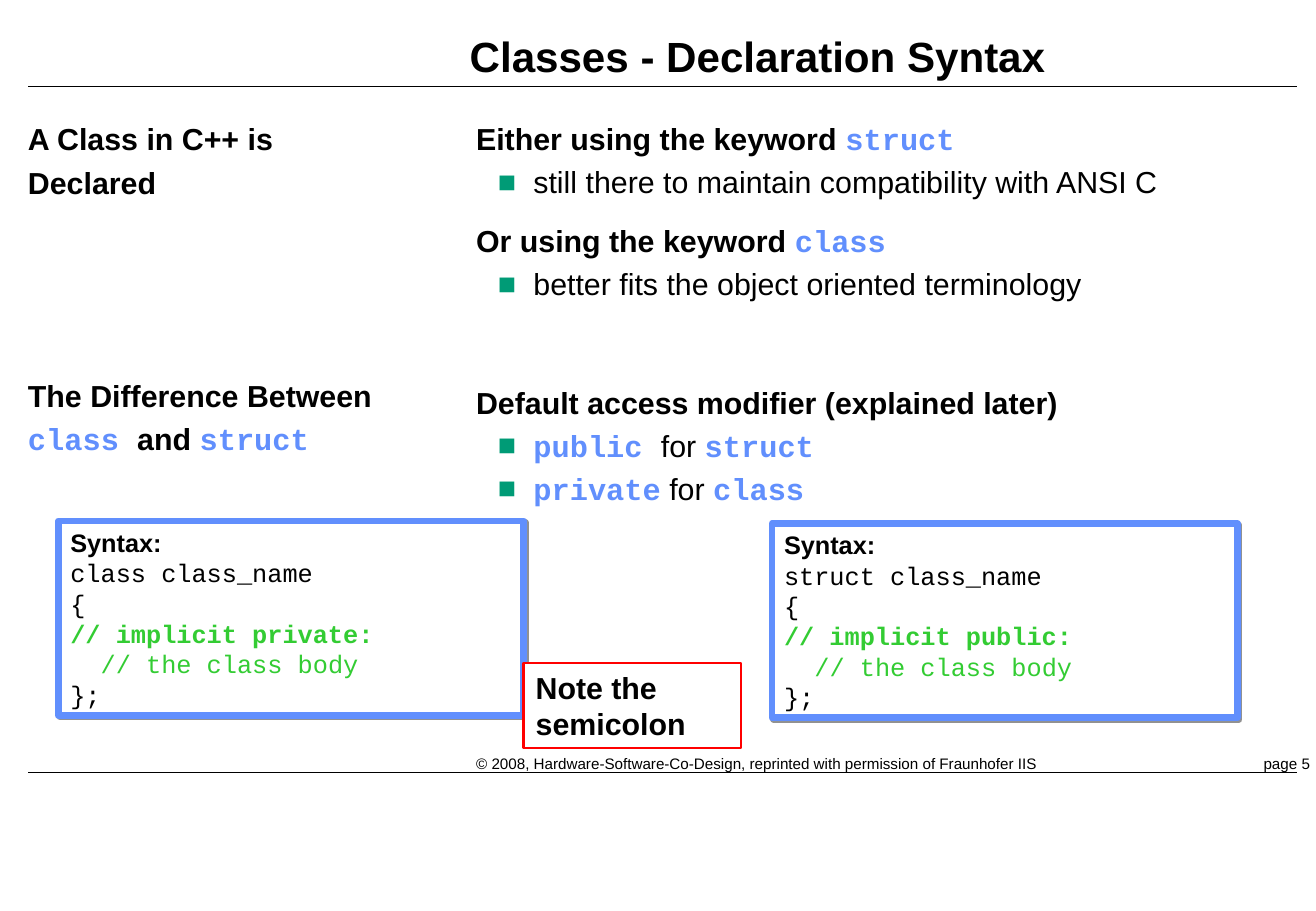
from lxml.etree import SubElement
from pptx import Presentation
from pptx.dml.color import RGBColor
from pptx.enum.shapes import MSO_CONNECTOR, MSO_SHAPE
from pptx.enum.text import MSO_ANCHOR, PP_ALIGN
from pptx.oxml.ns import qn
from pptx.util import Pt

BLACK = RGBColor(0x00, 0x00, 0x00)
WHITE = RGBColor(0xFF, 0xFF, 0xFF)
KEYWORD_BLUE = RGBColor(0x61, 0x8F, 0xFD)
BULLET_GREEN = RGBColor(0x00, 0x9B, 0x76)
COMMENT_GREEN = RGBColor(0x33, 0xCC, 0x33)
NOTE_RED = RGBColor(0xFF, 0x00, 0x00)
SHADOW_GREY = RGBColor(0x91, 0x91, 0x91)

SANS, MONO = "Arial", "Courier New"
TITLE = dict(name=SANS, size=Pt(25), bold=True, color=BLACK)
HEAD = dict(name=SANS, size=Pt(18), bold=True, color=BLACK)
BODY = HEAD | dict(bold=False)
KEYWORD = HEAD | dict(name=MONO, color=KEYWORD_BLUE)
FOOTER = dict(name=SANS, size=Pt(9), bold=False, color=BLACK)
CODE_HEAD = HEAD | dict(size=Pt(15))
CODE = CODE_HEAD | dict(name=MONO, bold=False)
COMMENT = CODE | dict(color=COMMENT_GREEN)
COMMENT_BOLD = COMMENT | dict(bold=True)

TITLE_LINE = dict(line_spacing=Pt(32.9))
HEAD_LINE = dict(line_spacing=Pt(26))
NEXT_HEAD = HEAD_LINE | dict(space_before=Pt(9))
LAST_HEAD = HEAD_LINE | dict(space_before=Pt(44))
BULLET_LINE = dict(line_spacing=Pt(25.5), level=1)
RIGHT = dict(alignment=PP_ALIGN.RIGHT)
LEFT = dict(alignment=PP_ALIGN.LEFT)

NO_MARGINS = dict(margin_left=0, margin_top=0, margin_right=0, margin_bottom=0)
WRAPPED = NO_MARGINS | dict(word_wrap=True)
ONE_LINE = NO_MARGINS | dict(word_wrap=False, vertical_anchor=MSO_ANCHOR.BOTTOM)
FRAMED = dict(margin_left=Pt(7.2), margin_top=Pt(3.6), margin_right=Pt(7.2),
              margin_bottom=Pt(3.6), word_wrap=True, vertical_anchor=MSO_ANCHOR.TOP)


def apply_format(target, values):
    for attribute, value in values.items():
        if attribute == "color":
            target.color.rgb = value
        else:
            setattr(target, attribute, value)


def set_indent(paragraph, left, first):
    properties = paragraph._p.get_or_add_pPr()
    properties.set("marL", str(Pt(left)))
    properties.set("indent", str(Pt(first)))
    return properties


def add_bullet(paragraph):
    properties = set_indent(paragraph, 34, -21)
    color = SubElement(properties, qn("a:buClr"))
    SubElement(color, qn("a:srgbClr"), val=str(BULLET_GREEN))
    SubElement(properties, qn("a:buFont"), typeface=SANS)
    SubElement(properties, qn("a:buChar"), char="■")


def write_paragraphs(frame, frame_format, paragraphs, hanging=False):
    apply_format(frame, frame_format)
    for index, (line_format, runs) in enumerate(paragraphs):
        paragraph = frame.add_paragraph() if index else frame.paragraphs[0]
        if line_format is BULLET_LINE:
            add_bullet(paragraph)
        elif hanging:
            set_indent(paragraph, 18, -18)
        apply_format(paragraph, line_format)
        for words, font_format in runs:
            run = paragraph.add_run()
            run.text = words
            apply_format(run.font, font_format)


def add_text(slide, place, frame_format, paragraphs):
    box = slide.shapes.add_textbox(*map(Pt, place))
    write_paragraphs(box.text_frame, frame_format, paragraphs)


def add_frame(slide, place, line_color, line_width, paragraphs, hanging=False):
    frame = slide.shapes.add_shape(MSO_SHAPE.RECTANGLE, *map(Pt, place))
    frame.shadow.inherit = False
    frame.fill.solid()
    frame.fill.fore_color.rgb = WHITE
    frame.line.color.rgb = line_color
    frame.line.width = Pt(line_width)
    write_paragraphs(frame.text_frame, FRAMED, paragraphs, hanging)
    return frame


def add_syntax(slide, place, keyword, access):
    lines = [
        ("Syntax:", CODE_HEAD),
        (f"{keyword} class_name", CODE),
        ("{", CODE),
        (f"// implicit {access}:", COMMENT_BOLD),
        ("\t// the class body", COMMENT),
        ("};", CODE),
    ]
    syntax = add_frame(slide, place, KEYWORD_BLUE, 4,
                       [(LEFT, [line]) for line in lines], hanging=True)
    effects = syntax._element.spPr.find(qn("a:effectLst"))
    shadow = SubElement(effects, qn("a:outerShdw"), blurRad="0", dist=str(Pt(1.4)),
                        dir="2700000", algn="ctr", rotWithShape="0")
    SubElement(shadow, qn("a:srgbClr"), val=str(SHADOW_GREY))


def add_rule(slide, y):
    rule = slide.shapes.add_connector(
        MSO_CONNECTOR.STRAIGHT, Pt(769), Pt(y), Pt(16.6), Pt(y))
    rule.line.color.rgb = BLACK
    rule.line.width = Pt(1)
    SubElement(rule._element.spPr, qn("a:effectLst"))


def main():
    presentation = Presentation()
    presentation.slide_width = Pt(780.48)
    presentation.slide_height = Pt(540)
    slide = presentation.slides.add_slide(presentation.slide_layouts[6])

    for y in (51.3, 458):
        add_rule(slide, y)
    add_text(slide, (713.5, 447.1, 63.4, 10.8), ONE_LINE,
             [(RIGHT, [("page 5", FOOTER)])])
    add_text(slide, (282.4, 447.1, 332.6, 10.8), ONE_LINE,
             [(LEFT, [("© 2008, Hardware-Software-Co-Design, reprinted with "
                       "permission of Fraunhofer IIS", FOOTER)])])

    add_text(slide, (278.6, 15.1, 490.3, 36), WRAPPED,
             [(TITLE_LINE, [("Classes - Declaration Syntax", TITLE)])])
    add_text(slide, (16.6, 67, 220.3, 51.8), WRAPPED,
             [(HEAD_LINE, [("A Class in C++ is Declared", HEAD)])])
    add_text(slide, (282.4, 67, 486.7, 375.1), WRAPPED, [
        (HEAD_LINE, [("Either using the keyword ", HEAD), ("struct", KEYWORD)]),
        (BULLET_LINE, [("still there to maintain compatibility with ANSI C", BODY)]),
        (NEXT_HEAD, [("Or using the keyword ", HEAD), ("class", KEYWORD)]),
        (BULLET_LINE, [("better fits the object oriented terminology", BODY)]),
        (LAST_HEAD, [("Default access modifier (explained later)", HEAD)]),
        (BULLET_LINE, [("public ", KEYWORD), ("for ", BODY), ("struct", KEYWORD)]),
        (BULLET_LINE, [("private", KEYWORD), (" for ", BODY), ("class", KEYWORD)]),
    ])

    add_syntax(slide, (34.6, 308.9, 276, 115.2), "class", "private")
    add_syntax(slide, (457.9, 310.3, 276, 115.2), "struct", "public")
    add_frame(slide, (310.6, 393.1, 128.9, 50.4), NOTE_RED, 1.5,
              [(LEFT, [("Note the semicolon", HEAD)])])
    add_text(slide, (16.6, 218.9, 220.3, 51.8), WRAPPED,
             [(HEAD_LINE, [("The Difference Between ", HEAD), ("class ", KEYWORD),
                           ("and ", HEAD), ("struct", KEYWORD)])])

    presentation.save("out.pptx")


if __name__ == "__main__":
    main()
